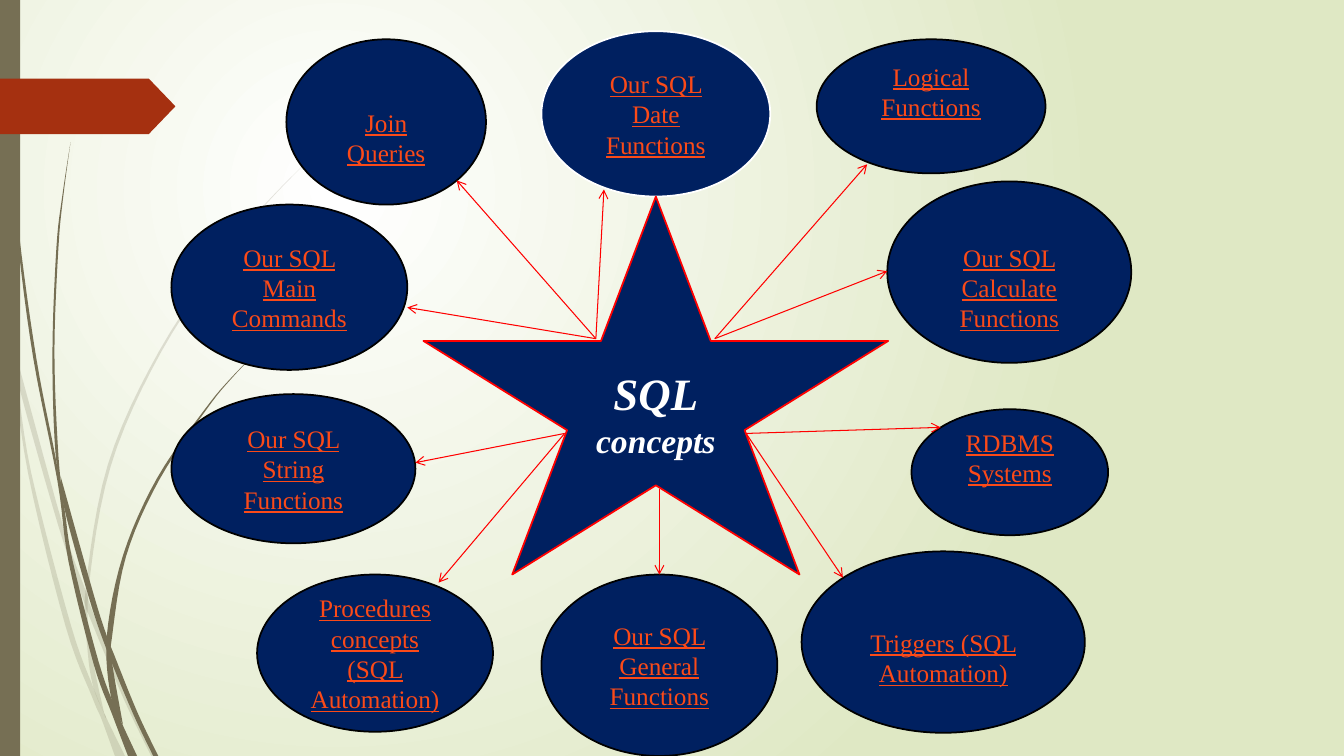
from lxml import etree
from pptx import Presentation
from pptx import util as u
from pptx.dml.color import RGBColor
from pptx.enum import shapes, text
from pptx.oxml import parse_xml
from pptx.oxml.ns import qn

SCALE = 9144
FONT = "Times New Roman"
C = {
    "white": "FFFFFF", "sage": "DFE8C4", "olive": "766F54", "rust": "A53010",
    "navy": "002060", "black": "000000", "red": "FF0000", "link": "FB4A18",
    "yellow": "FFFF00",
}
NS = 'xmlns:a="http://schemas.openxmlformats.org/drawingml/2006/main"'

PALE_WISPS = [
    ([(0, 282), (9, 322), (11, 350)], [(0, 299), (10, 344), (11, 350)]),
    ([(11, 350), (28, 470), (65, 621), (92, 693), (101, 714), (114, 750)],
     [(17, 376), (31, 469), (70, 619), (93, 683), (105, 711), (124, 750)]),
    ([(14, 345), (17, 376), (58, 522), (84, 599), (88, 610), (123, 694), (150, 750)],
     [(14, 345), (62, 520), (85, 586), (92, 607), (127, 692), (155, 750)]),
    ([(312, 153), (268, 197), (228, 244), (158, 348), (107, 461), (85, 584),
      (87, 646), (93, 683), (105, 711)],
     [(312, 153), (268, 198), (229, 245), (160, 349), (110, 462), (88, 584),
      (91, 646), (103, 706), (105, 711)]),
]
DARK_WISPS = [
    ([(3, 0), (4, 48), (7, 110), (17, 233), (33, 355), (57, 477), (68, 557),
      (93, 659), (111, 708), (127, 750)],
     [(4, 0), (5, 48), (8, 109), (19, 232), (36, 355), (55, 453), (64, 505),
      (72, 556), (98, 657), (116, 706), (136, 750)]),
    ([(70, 141), (62, 193), (56, 245), (52, 349), (55, 449), (64, 505)],
     [(70, 141), (63, 193), (58, 245), (54, 349), (58, 453), (64, 505)]),
    ([(60, 472), (64, 505), (88, 592), (106, 645), (132, 708), (152, 750)],
     [(60, 472), (93, 590), (106, 631), (113, 649), (136, 706), (157, 750)]),
    ([(260, 344), (231, 373), (204, 405), (156, 474), (122, 551), (106, 631),
      (110, 691), (122, 719)],
     [(260, 344), (231, 374), (205, 406), (158, 476), (125, 552), (111, 633),
      (111, 656), (122, 719)]),
]
TOPICS = [
    ("Our SQL Main Commands", (170, 203, 234, 164), 0, 0),
    ("Our SQL String Functions", (170, 391, 242, 148), 0, 0),
    ("Our SQL Date Functions", (537, 31, 227, 164), 0, 0),
    ("Logical Functions", (810, 39, 227, 133), 0, 30),
    ("RDBMS Systems", (904, 406, 195, 125), 0, 30),
    ("Our SQL General Functions", (537, 570, 234, 180), 0, 0),
    ("Our SQL Calculate Functions", (880, 180, 242, 180), 30, 0),
    ("Join Queries", (284, 39, 198, 164), 30, 0),
    ("Procedures concepts (SQL Automation)", (255, 570, 234, 156), 0, 0),
    ("Triggers (SQL Automation)", (795, 547, 281, 180), 30, 0),
]
ARROWS = {
    (591, 336): [(453, 179), (599, 188), (404, 305)],
    (709, 336): [(860, 163), (880, 269)],
    (740, 430): [(933, 424), (836, 573)],
    (654, 485): [(654, 570)],
    (560, 430): [(412, 459), (435, 578)],
}


def px(n):
    return u.Emu(round(n * SCALE))


def rgb(name):
    return RGBColor.from_string(C[name])


def style(sp, fill, line=None):
    sp.shadow.inherit = False
    sp.fill.solid()
    sp.fill.fore_color.rgb = rgb(fill)
    if line:
        sp.line.color.rgb = rgb(line)
        sp.line.width = u.Pt(1.25)
    else:
        sp.line.fill.background()


def add_preset(s, kind, box, fill, line=None):
    sp = s.shapes.add_shape(kind, *map(px, box))
    style(sp, fill, line)
    return sp


def format_run(p, size, color):
    p.alignment = text.PP_ALIGN.CENTER
    r = p.runs[0]
    r.font.name = FONT
    r.font.size = u.Pt(size)
    r.font.color.rgb = rgb(color)
    return r


def smooth(points, steps=6):
    padded = [points[0], *points, points[-1]]
    curve = []
    for a, b, c, d in zip(padded, padded[1:], padded[2:], padded[3:]):
        for i in range(steps):
            t = i / steps
            curve.append(tuple(
                (2 * q + (e - o) * t + (2 * o - 5 * q + 4 * e - f) * t ** 2
                 + (3 * q - o - 3 * e + f) * t ** 3) / 2
                for o, q, e, f in zip(a, b, c, d)))
    return curve + [points[-1]]


def add_wisps(s, wisps, alpha=None):
    for left, right in wisps:
        outline = [(px(x), px(y)) for x, y in smooth(left) + smooth(right)[::-1]]
        builder = s.shapes.build_freeform(*outline[0], scale=1.0)
        builder.add_line_segments(outline[1:], close=True)
        sp = builder.convert_to_shape()
        style(sp, "olive")
        if alpha:
            color = sp._element.spPr.find(qn("a:solidFill"))[0]
            etree.SubElement(color, qn("a:alpha"), val=str(alpha * 1000))


def add_backdrop(s):
    s.background.fill.gradient()
    grad = s.background._cSld.find(".//" + qn("a:gradFill"))
    grad.getparent().replace(grad, parse_xml(
        f'<a:gradFill {NS} rotWithShape="1"><a:gsLst>'
        f'<a:gs pos="0"><a:srgbClr val="{C["white"]}"/></a:gs>'
        f'<a:gs pos="100000"><a:srgbClr val="{C["sage"]}"/></a:gs></a:gsLst>'
        '<a:path path="circle"><a:fillToRect l="50000" t="50000" r="100000" b="100000"/>'
        '</a:path></a:gradFill>'))
    add_wisps(s, PALE_WISPS, 20)
    add_wisps(s, DARK_WISPS)
    add_preset(s, shapes.MSO_SHAPE.RECTANGLE, (0, 0, 20, 750), "olive")
    tag = add_preset(s, shapes.MSO_SHAPE.PENTAGON, (0, 78, 174, 55), "rust")
    tag.adjustments[0] = 0.48


def add_topic(s, label, box, top, bottom):
    line = "white" if "Date" in label else "black"
    sp = add_preset(s, shapes.MSO_SHAPE.OVAL, box, "navy", line)
    tf = sp.text_frame
    tf.word_wrap = True
    tf.vertical_anchor = text.MSO_ANCHOR.MIDDLE
    tf.margin_top, tf.margin_bottom = px(5 + top), px(5 + bottom)
    tf.text = label
    r = format_run(tf.paragraphs[0], 18, "link")
    r.font.underline = True
    r.font._element.insert(0, parse_xml(
        f'<a:ln {NS} w="9525"><a:solidFill><a:srgbClr val="{C["yellow"]}"/>'
        '</a:solidFill></a:ln>'))


def add_star(s, box):
    sp = add_preset(s, shapes.MSO_SHAPE.STAR_5_POINT, box, "navy", "red")
    tf = sp.text_frame
    tf.word_wrap = True
    tf.vertical_anchor = text.MSO_ANCHOR.MIDDLE
    tf.text = "SQL\nconcepts"
    for p, size in zip(tf.paragraphs, (32, 24)):
        r = format_run(p, size, "white")
        r.font.bold = r.font.italic = True


def add_arrow(s, start, end):
    arrow = s.shapes.add_connector(
        shapes.MSO_CONNECTOR.STRAIGHT, *map(px, start + end))
    arrow.line.color.rgb = rgb("red")
    arrow.line.width = u.Pt(0.75)
    etree.SubElement(arrow.line._get_or_add_ln(), qn("a:tailEnd"), type="arrow")
    etree.SubElement(arrow._element.spPr, qn("a:effectLst"))


def main():
    prs = Presentation()
    prs.slide_width, prs.slide_height = px(1333), px(750)
    s = prs.slides.add_slide(prs.slide_layouts[6])
    add_backdrop(s)
    for topic in TOPICS:
        add_topic(s, *topic)
    add_star(s, (420, 195, 461, 375))
    for start, ends in ARROWS.items():
        for end in ends:
            add_arrow(s, start, end)
    prs.save("out.pptx")


if __name__ == "__main__":
    main()
